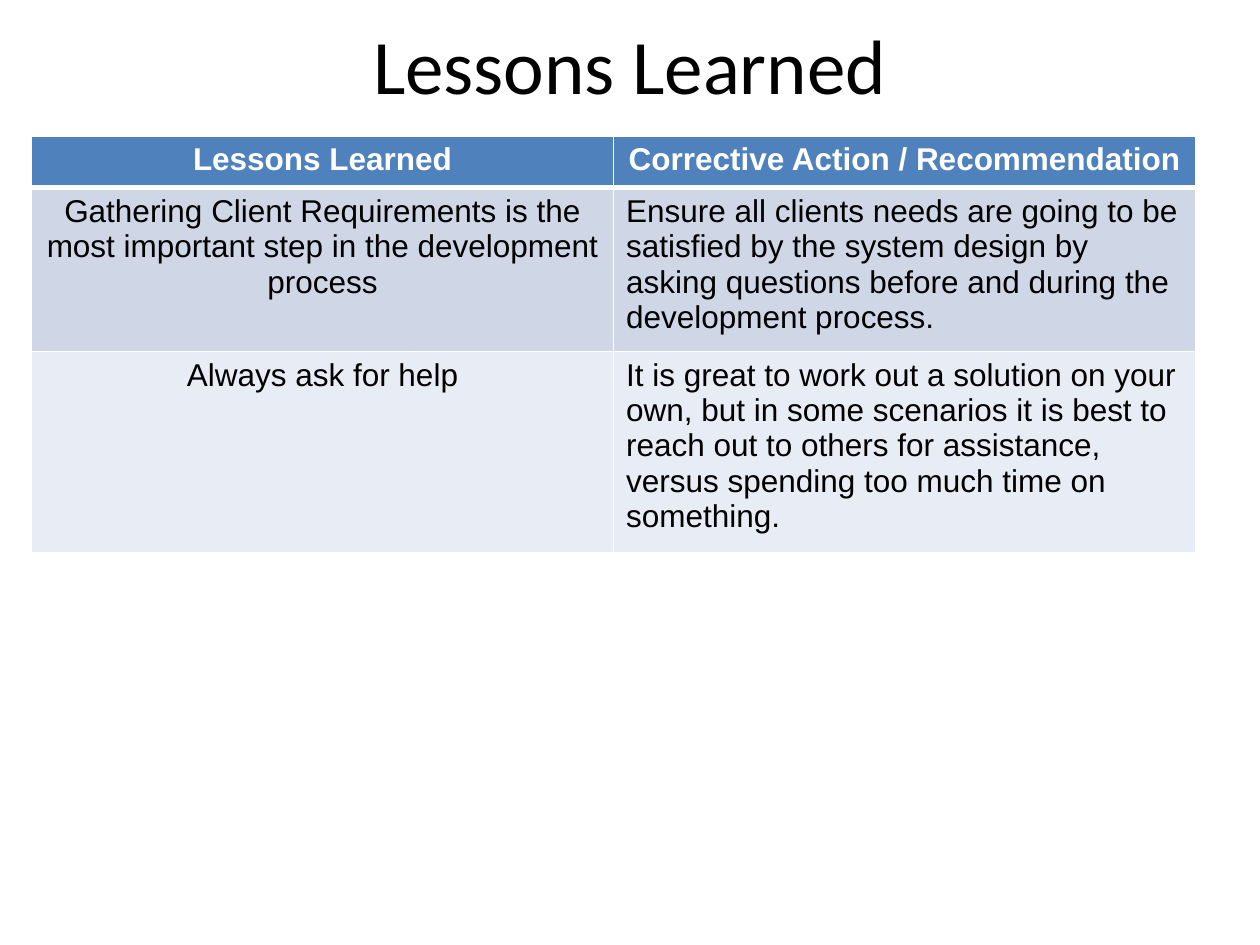
from lxml import etree
from pptx import Presentation
from pptx import util as u
from pptx.dml.color import RGBColor
from pptx.enum import text
from pptx.oxml.ns import qn

TITLE = "Lessons Learned"
ROWS = [
    ("Lessons Learned", "Corrective Action / Recommendation"),
    ("Gathering Client Requirements is the most important step in the development process",
     "Ensure all clients needs are going to be satisfied by the system design by asking "
     "questions before and during the development process."),
    ("Always ask for help",
     "It is great to work out a solution on your own, but in some scenarios it is best to "
     "reach out to others for assistance, versus spending too much time on something."),
]
ROW_HEIGHTS = (0.41, 1.21, 1.5)
COL_WIDTH = 4.62

THEME = {
    "title_font": "Calibri", "title_size": 44,
    "body_font": "Arial", "body_size": 18,
    "ink": "000000", "header_ink": "FFFFFF", "border": "FFFFFF",
    "header_fill": "4F81BD", "bands": ("CFD7E7", "E8ECF4"),
    "thin": 1, "thick": 3,
}


def add_run(p, content, font, size, color, bold=False):
    r = p.add_run()
    r.text = content
    r.font.name = font
    r.font.size = u.Pt(size)
    r.font.bold = bold
    r.font.color.rgb = RGBColor.from_string(color)


def set_borders(cell, row):
    """Thin lines all round, with a thick one between the header and the body."""
    thick_side = {0: "lnB", 1: "lnT"}.get(row)
    tc_pr = cell._tc.get_or_add_tcPr()
    for side in ("lnL", "lnR", "lnT", "lnB"):
        width = THEME["thick"] if side == thick_side else THEME["thin"]
        ln = etree.SubElement(tc_pr, qn(f"a:{side}"), w=str(u.Pt(width)))
        fill = etree.SubElement(ln, qn("a:solidFill"))
        etree.SubElement(fill, qn("a:srgbClr"), val=THEME["border"])


def add_title(s):
    sp = s.shapes.add_textbox(u.Inches(0.5), u.Inches(0.08), u.Inches(9), u.Inches(0.86))
    tf = sp.text_frame
    tf.word_wrap = True
    tf.vertical_anchor = text.MSO_ANCHOR.MIDDLE
    p = tf.paragraphs[0]
    p.alignment = text.PP_ALIGN.CENTER
    add_run(p, TITLE, THEME["title_font"], THEME["title_size"], THEME["ink"])


def add_lessons_table(s):
    cols = len(ROWS[0])
    table = s.shapes.add_table(
        len(ROWS), cols, u.Inches(0.25), u.Inches(1.08),
        u.Inches(COL_WIDTH * cols), u.Inches(sum(ROW_HEIGHTS))).table
    for col in table.columns:
        col.width = u.Inches(COL_WIDTH)
    for i, (values, height) in enumerate(zip(ROWS, ROW_HEIGHTS)):
        table.rows[i].height = u.Inches(height)
        header = i == 0
        fill = THEME["header_fill"] if header else THEME["bands"][(i - 1) % 2]
        ink = THEME["header_ink"] if header else THEME["ink"]
        for j, value in enumerate(values):
            cell = table.cell(i, j)
            set_borders(cell, i)
            cell.fill.solid()
            cell.fill.fore_color.rgb = RGBColor.from_string(fill)
            p = cell.text_frame.paragraphs[0]
            centred = header or j == 0
            p.alignment = text.PP_ALIGN.CENTER if centred else text.PP_ALIGN.LEFT
            add_run(p, value, THEME["body_font"], THEME["body_size"], ink, bold=header)


def main():
    prs = Presentation()
    prs.slide_width, prs.slide_height = u.Inches(10), u.Inches(7.5)
    s = prs.slides.add_slide(prs.slide_layouts[6])
    add_title(s)
    add_lessons_table(s)
    prs.save("out.pptx")


if __name__ == "__main__":
    main()
